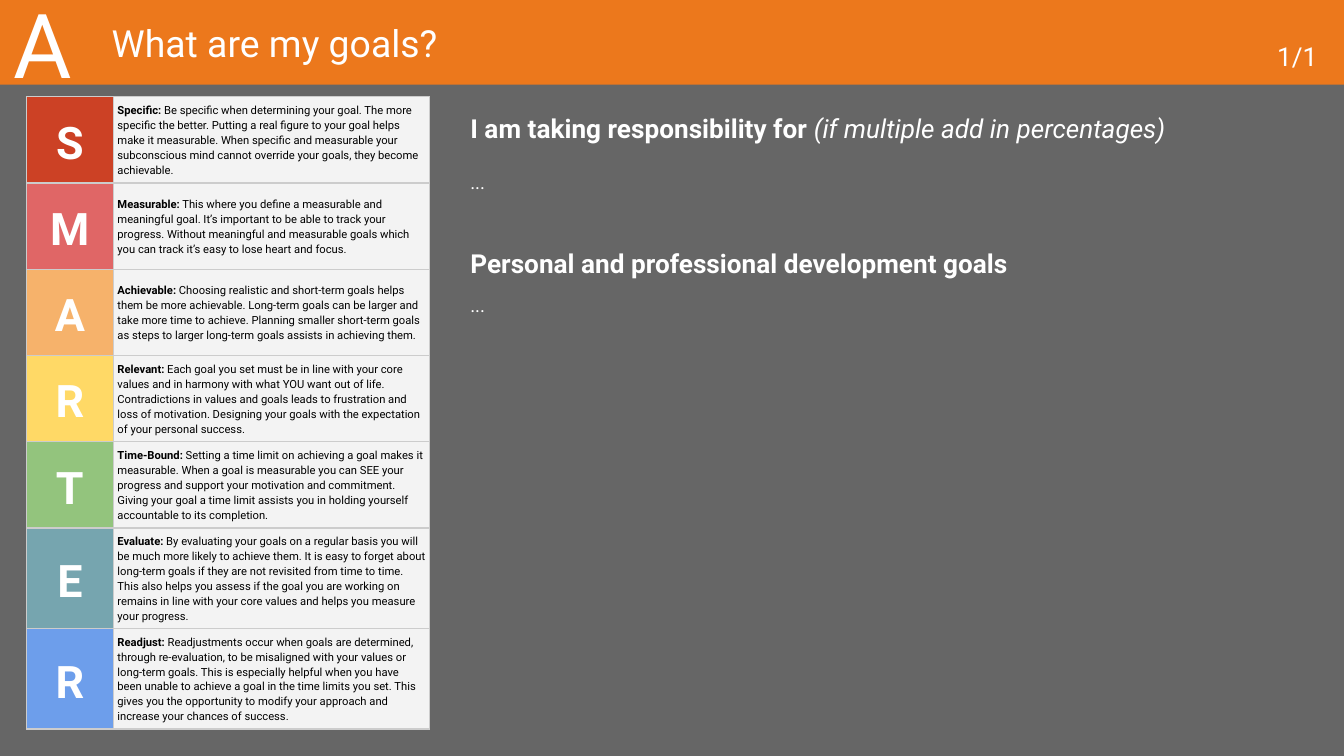
from lxml import etree
from pptx import Presentation
from pptx.dml.color import RGBColor
from pptx.enum.shapes import MSO_SHAPE
from pptx.enum.text import MSO_ANCHOR, MSO_AUTO_SIZE, PP_ALIGN
from pptx.oxml.ns import qn
from pptx.util import Cm, Pt

LEFT, CENTER, RIGHT = PP_ALIGN.LEFT, PP_ALIGN.CENTER, PP_ALIGN.RIGHT
TOP, MIDDLE, BOTTOM = MSO_ANCHOR.TOP, MSO_ANCHOR.MIDDLE, MSO_ANCHOR.BOTTOM
RECTANGLE = MSO_SHAPE.RECTANGLE
NO_AUTOFIT = MSO_AUTO_SIZE.NONE

FONT = "Roboto"
SLIDE_W, SLIDE_H = 25.4, 14.29
BAND_H = 1.6
INSET = 0.25

COLORS = {
    "background": "666666",
    "band": "EC781C",
    "light": "FFFFFF",
    "dark": "000000",
    "border": "CCCCCC",
    "description": "F3F3F3",
    "Specific": "CC4125",
    "Measurable": "E06666",
    "Achievable": "F6B26B",
    "Relevant": "FFD966",
    "Time-Bound": "93C47D",
    "Evaluate": "76A5AF",
    "Readjust": "6D9EEB",
}

# Criterion, explanation, row height in cm
CRITERIA = [
    ("Specific", "Be specific when determining your goal. The more specific the better. "
     "Putting a real figure to your goal helps make it measurable. When specific and "
     "measurable your subconscious mind cannot override your goals, they become achievable.",
     1.63),
    ("Measurable", "This where you define a measurable and meaningful goal. It’s important "
     "to be able to track your progress. Without meaningful and measurable goals which you "
     "can track it’s easy to lose heart and focus.", 1.63),
    ("Achievable", "Choosing realistic and short-term goals helps them be more achievable. "
     "Long-term goals can be larger and take more time to achieve. Planning smaller "
     "short-term goals as steps to larger long-term goals assists in achieving them.", 1.63),
    ("Relevant", "Each goal you set must be in line with your core values and in harmony "
     "with what YOU want out of life. Contradictions in values and goals leads to "
     "frustration and loss of motivation. Designing your goals with the expectation of "
     "your personal success.", 1.63),
    ("Time-Bound", "Setting a time limit on achieving a goal makes it measurable. When a "
     "goal is measurable you can SEE your progress and support your motivation and "
     "commitment. Giving your goal a time limit assists you in holding yourself "
     "accountable to its completion.", 1.63),
    ("Evaluate", "By evaluating your goals on a regular basis you will be much more likely "
     "to achieve them. It is easy to forget about long-term goals if they are not revisited "
     "from time to time. This also helps you assess if the goal you are working on remains "
     "in line with your core values and helps you measure your progress.", 1.9),
    ("Readjust", "Readjustments occur when goals are determined, through re-evaluation, to "
     "be misaligned with your values or long-term goals. This is especially helpful when "
     "you have been unable to achieve a goal in the time limits you set. This gives you the "
     "opportunity to modify your approach and increase your chances of success.", 1.9),
]


def color(name):
    return RGBColor.from_string(COLORS[name])


def write(paragraph, text, size, ink="light", bold=False, italic=False,
          align=LEFT, spacing=1.0, before=0, after=0):
    """Add one formatted run and set the format of its paragraph."""
    paragraph.alignment = align
    paragraph.line_spacing = spacing
    paragraph.space_before, paragraph.space_after = Pt(before), Pt(after)
    run = paragraph.add_run()
    run.text = text
    font = run.font
    font.name, font.size, font.bold, font.italic = FONT, Pt(size), bold, italic
    font.color.rgb = color(ink)


def prepare_frame(shape, anchor=TOP, wrap=True):
    frame = shape.text_frame
    frame.auto_size = NO_AUTOFIT
    frame.word_wrap = wrap
    frame.vertical_anchor = anchor
    frame.margin_left = frame.margin_right = Cm(INSET)
    frame.margin_top = frame.margin_bottom = Cm(INSET)
    return frame


def add_text_area(slide, left, top, width, height, **frame_format):
    area = slide.shapes.add_textbox(Cm(left), Cm(top), Cm(width), Cm(height))
    return prepare_frame(area, **frame_format)


def build_header(slide, left, top, width, height):
    # Orange band, behind the title
    band = slide.shapes.add_shape(RECTANGLE, Cm(left), Cm(top), Cm(width), Cm(height))
    band.shadow.inherit = False
    band.fill.solid()
    band.fill.fore_color.rgb = color("band")
    band.line.fill.background()
    title = slide.shapes.title
    title.element.addprevious(band.element)

    # Title
    title.left, title.top = Cm(left + 1.86), Cm(top)
    title.width, title.height = Cm(15.24), Cm(height)
    write(prepare_frame(title, anchor=MIDDLE).paragraphs[0], "What are my goals?", 20)

    # Section letter and page count
    letter = add_text_area(slide, left, top, height, height, anchor=MIDDLE, wrap=False)
    write(letter.paragraphs[0], "A", 48, align=CENTER)
    count_w = 5.51
    count = add_text_area(slide, left + width - INSET - count_w, top, count_w, height,
                          anchor=BOTTOM)
    write(count.paragraphs[0], "1/1", 14, align=RIGHT)


def format_cell(cell, fill):
    cell.vertical_anchor = MIDDLE
    cell.margin_left = cell.margin_right = Cm(0.08)
    cell.margin_top = cell.margin_bottom = Cm(0.05)
    properties = cell._tc.get_or_add_tcPr()
    for side in ("a:lnL", "a:lnR", "a:lnT", "a:lnB"):
        line = etree.SubElement(properties, qn(side), w=str(Pt(0.75)))
        solid = etree.SubElement(line, qn("a:solidFill"))
        etree.SubElement(solid, qn("a:srgbClr"), val=COLORS["border"])
    cell.fill.solid()
    cell.fill.fore_color.rgb = color(fill)


def build_criteria(slide, left, top, width, height):
    table = slide.shapes.add_table(len(CRITERIA), 2, Cm(left), Cm(top),
                                   Cm(width), Cm(height)).table
    table.first_row = table.horz_banding = False
    letter_w = 1.64
    table.columns[0].width = Cm(letter_w)
    table.columns[1].width = Cm(width - letter_w)
    for row, (criterion, explanation, row_h) in zip(table.rows, CRITERIA):
        row.height = Cm(row_h)
        initial, description = row.cells
        format_cell(initial, criterion)
        write(initial.text_frame.paragraphs[0], criterion[0], 24, bold=True,
              align=CENTER, spacing=1.15)
        format_cell(description, "description")
        paragraph = description.text_frame.paragraphs[0]
        write(paragraph, criterion + ":", 6, ink="dark", bold=True, spacing=1.15)
        write(paragraph, " " + explanation, 6, ink="dark", spacing=1.15)


def build_goals(slide, left, top, width, height):
    # Responsibility heading
    heading_h = 1.12
    heading = add_text_area(slide, left, top, width, heading_h).paragraphs[0]
    write(heading, "I am taking responsibility for", 14, bold=True, spacing=1.04, after=8)
    write(heading, " (if multiple add in percentages)", 14, italic=True,
          spacing=1.04, after=8)

    # Answers and development goals
    answers = add_text_area(slide, left, top + heading_h, width, height - heading_h)
    write(answers.paragraphs[0], "...", 10, spacing=1.04)
    write(answers.add_paragraph(), "Personal and professional development goals", 14,
          bold=True, spacing=1.04, before=28)
    write(answers.add_paragraph(), "...", 10, spacing=1.04, before=8, after=8)


def main():
    presentation = Presentation()
    presentation.slide_width, presentation.slide_height = Cm(SLIDE_W), Cm(SLIDE_H)
    slide = presentation.slides.add_slide(presentation.slide_layouts.get_by_name("Title Only"))
    slide.background.fill.solid()
    slide.background.fill.fore_color.rgb = color("background")

    build_header(slide, 0, 0, SLIDE_W, BAND_H)
    build_criteria(slide, 0.5, 1.83, 7.62, sum(row_h for _, _, row_h in CRITERIA))
    build_goals(slide, 8.64, 1.85, 16.26, 11.92)
    presentation.save("out.pptx")


if __name__ == "__main__":
    main()
